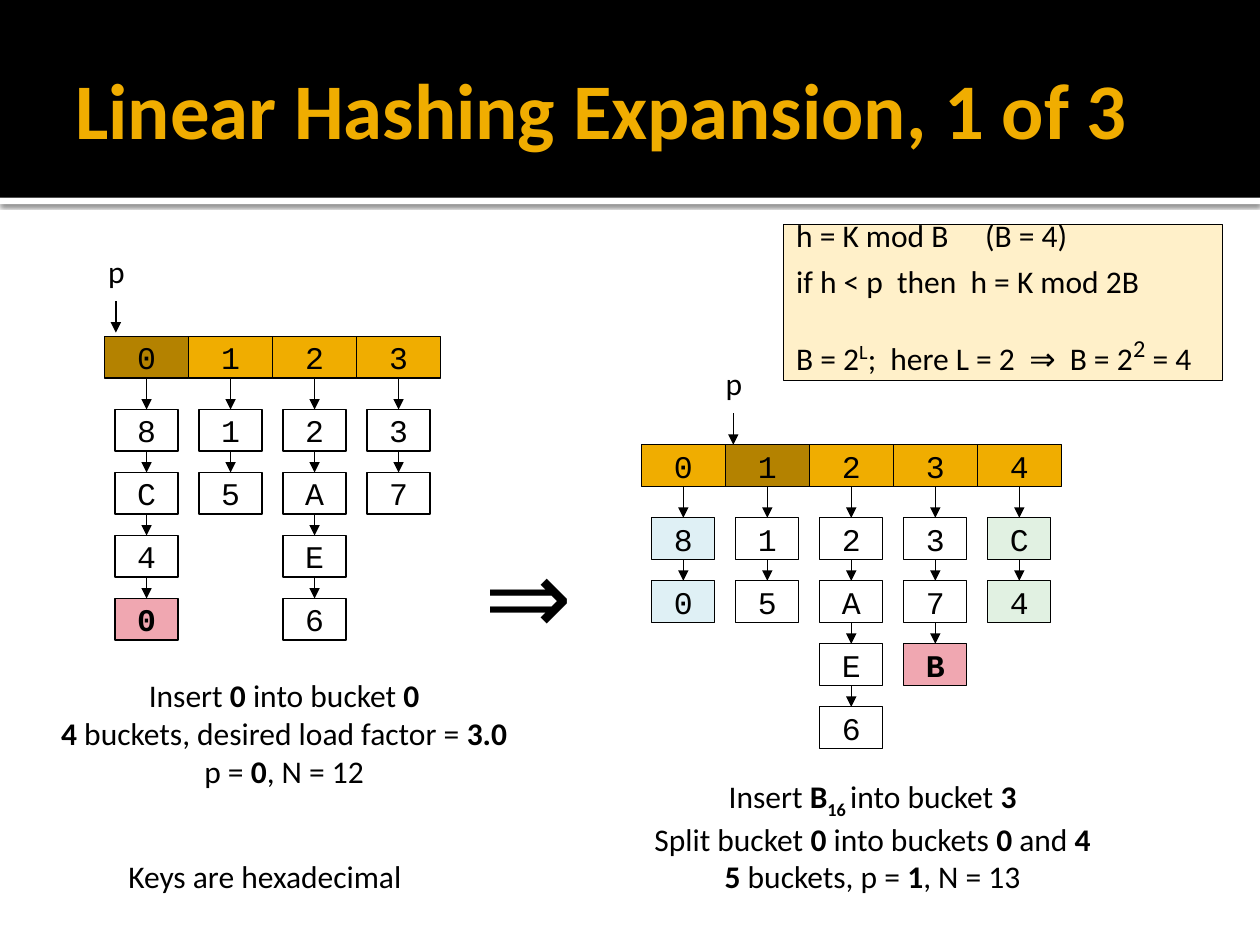
from lxml.etree import SubElement
from pptx import Presentation
from pptx.dml.color import RGBColor
from pptx.enum.shapes import MSO_CONNECTOR as Connector, MSO_SHAPE as Shape
from pptx.enum.text import MSO_ANCHOR as Anchor, PP_ALIGN as Align
from pptx.oxml import parse_xml
from pptx.oxml.ns import nsdecls, qn
from pptx.util import Inches, Pt

COLORS = {
    "black": "000000", "white": "FFFFFF", "gold": "F0AD00", "split": "B48200",
    "new": "F0A7B1", "kept": "DFF0F5", "moved": "E1F1E2", "cream": "FFF0C9",
}
BUCKET_WIDTH = 2 / 3
KEY_WIDTH = 0.5
CELL_HEIGHT = 0.33
KEY_DROP = 0.58
KEY_PITCH = 0.5
BOLD = {"bold": True}


def color(name):
    """Return the named colour."""
    return RGBColor.from_string(COLORS[name])


def write(shape, paragraphs, align=Align.LEFT, anchor=Anchor.MIDDLE, wrap=False,
          margins=None, spacing=None, **font):
    """Fill a shape with paragraphs, each a list of (text, format) runs."""
    frame = shape.text_frame
    frame.word_wrap = wrap
    frame.vertical_anchor = anchor
    for name, value in (margins or {}).items():
        setattr(frame, name, Inches(value))
    for index, runs in enumerate(paragraphs):
        paragraph = frame.paragraphs[0] if index == 0 else frame.add_paragraph()
        paragraph.alignment = align
        for name, value in (spacing[index] if spacing else {}).items():
            setattr(paragraph, name, value)
        for text, extra in runs:
            add_run(paragraph, text, {"name": "Calibri", "size": 18, "color": "black", **font, **extra})


def add_run(paragraph, text, style):
    """Add one run with its font, colour and baseline shift."""
    values = dict(style)
    run = paragraph.add_run()
    run.text = text
    run.font.color.rgb = color(values.pop("color"))
    if "baseline" in values:
        run.font._element.set("baseline", str(values.pop("baseline") * 1000))
    values["size"] = Pt(values["size"])
    for name, value in values.items():
        setattr(run.font, name, value)


def add_box(slide, left, top, width, height, fill=None, outlined=True):
    """Add a rectangle."""
    shape = slide.shapes.add_shape(
        Shape.RECTANGLE, Inches(left), Inches(top), Inches(width), Inches(height))
    shape.shadow.inherit = False
    if fill:
        shape.fill.solid()
        shape.fill.fore_color.rgb = color(fill)
    else:
        shape.fill.background()
    if outlined:
        shape.line.color.rgb = color("black")
        shape.line.width = Pt(0.75)
    else:
        shape.line.fill.background()
    return shape


def add_cell(slide, center, top, width, text, fill=None):
    """Add a bucket or key cell centred on its column."""
    box = add_box(slide, center - width / 2, top, width, CELL_HEIGHT, fill)
    write(box, [[(text, {})]], Align.CENTER, name="Courier New", bold=fill == "new")


def add_arrow(slide, x, top, bottom):
    """Add a downward arrow."""
    arrow = slide.shapes.add_connector(
        Connector.STRAIGHT, Inches(x), Inches(top), Inches(x), Inches(bottom))
    arrow.line.color.rgb = color("black")
    arrow.line.width = Pt(0.75)
    SubElement(arrow.line._get_or_add_ln(), qn("a:tailEnd"), type="triangle")
    SubElement(arrow._element.spPr, qn("a:effectLst"))


def add_text(slide, left, top, width, height, paragraphs, **options):
    """Add a text box."""
    box = slide.shapes.add_textbox(Inches(left), Inches(top), Inches(width), Inches(height))
    write(box, paragraphs, **options)


def add_hash_table(slide, left, top, chains, split, tints):
    """Draw numbered buckets with a chain of keys under each."""
    for column, keys in enumerate(chains):
        center = left + (column + 0.5) * BUCKET_WIDTH
        add_cell(slide, center, top, BUCKET_WIDTH, str(column), "split" if column == split else "gold")
        arrow_top = top + CELL_HEIGHT
        for row, key in enumerate(keys):
            key_top = top + KEY_DROP + row * KEY_PITCH
            add_cell(slide, center, key_top, KEY_WIDTH, key, tints.get((column, row)))
            add_arrow(slide, center, arrow_top, key_top)
            arrow_top = key_top + CELL_HEIGHT


def add_pointer(slide, x, top):
    """Draw the split pointer p with its arrow."""
    add_text(slide, x - 0.18, top - 0.49, 0.37, 0.5, [[("p", {})]], align=Align.CENTER)
    add_arrow(slide, x, top, top + 0.25)


def add_header(slide):
    """Draw the title band and its shadowed rule."""
    rule = add_box(slide, 0, 1.57, 10, 0.05, "white", outlined=False)
    spPr = rule._element.spPr
    spPr.remove(spPr.find(qn("a:effectLst")))
    spPr.append(parse_xml(
        f'<a:effectLst {nsdecls("a")}><a:outerShdw blurRad="{Pt(2.5)}" dist="{Pt(0.8)}" '
        f'dir="5400000"><a:srgbClr val="{COLORS["black"]}"><a:alpha val="60000"/>'
        '</a:srgbClr></a:outerShdw></a:effectLst>'))
    add_box(slide, 0, 0, 10, 1.57, "black", outlined=False)
    add_text(slide, 0.5, 0.17, 9, 1.37, [[("Linear Hashing Expansion, 1 of 3", {})]],
             wrap=True, margins={"margin_right": 0.05}, size=45, color="gold", bold=True)


def add_formulas(slide):
    """Draw the box with the hashing rules."""
    box = add_box(slide, 6.22, 1.78, 3.48, 1.24, "cream")
    write(box, [
        [("h = K mod B\t(B = 4)", {})],
        [("if h < p  then  h = K mod 2B", {})],
        [("B = 2", {}), ("L", {"size": 20, "baseline": 30}), (";  here L = 2  ⇒  B = 2", {}),
         ("2", {"size": 24, "baseline": 30}), (" = 4", {})],
    ], wrap=True, margins={"margin_top": 0, "margin_bottom": 0}, spacing=[
        {"line_spacing": 0.7},
        {"line_spacing": 0.9, "space_before": Pt(8)},
        {"space_before": Pt(16)},
    ])


def add_captions(slide):
    """Write the explanations below the two tables."""
    add_text(slide, 0.35, 5.31, 3.81, 1.01, [
        [("Insert ", {}), ("0", BOLD), (" into bucket ", {}), ("0", BOLD)],
        [("4", BOLD), (" buckets, desired load factor = ", {}), ("3.0", BOLD)],
        [("p = ", {}), ("0", BOLD), (", N = 12", {})],
    ], align=Align.CENTER)
    add_text(slide, 5.05, 6.13, 3.75, 1.01, [
        [("Insert ", {}), ("B", BOLD), ("16 ", {**BOLD, "baseline": -25}),
         ("into bucket ", {}), ("3", BOLD)],
        [("Split bucket ", {}), ("0", BOLD), (" into buckets ", {}), ("0", BOLD),
         (" and ", {}), ("4", BOLD)],
        [("5 ", BOLD), ("buckets, p = ", {}), ("1", BOLD), (", N = 13", {})],
    ], align=Align.CENTER)
    add_text(slide, 3.75, 4.15, 0.92, 1.11, [[("⇒", {})]], anchor=Anchor.TOP, wrap=True, size=60)
    add_text(slide, 0.92, 6.75, 2.53, 0.4, [[("Keys are hexadecimal", {})]],
             anchor=Anchor.TOP, wrap=True)


def main():
    """Build the slide and save it."""
    presentation = Presentation()
    presentation.slide_width, presentation.slide_height = Inches(10), Inches(7.5)
    slide = presentation.slides.add_slide(presentation.slide_layouts[6])
    add_header(slide)
    add_hash_table(slide, 0.83, 2.67, ["8C40", "15", "2AE6", "37"], 0, {(0, 3): "new"})
    add_pointer(slide, 0.92, 2.39)
    add_formulas(slide)
    add_hash_table(slide, 5.09, 3.53, ["80", "15", "2AE6", "37B", "C4"], 1, {
        (0, 0): "kept", (0, 1): "kept", (3, 2): "new", (4, 0): "moved", (4, 1): "moved"})
    add_pointer(slide, 5.82, 3.28)
    add_captions(slide)
    presentation.save("out.pptx")


if __name__ == "__main__":
    main()
